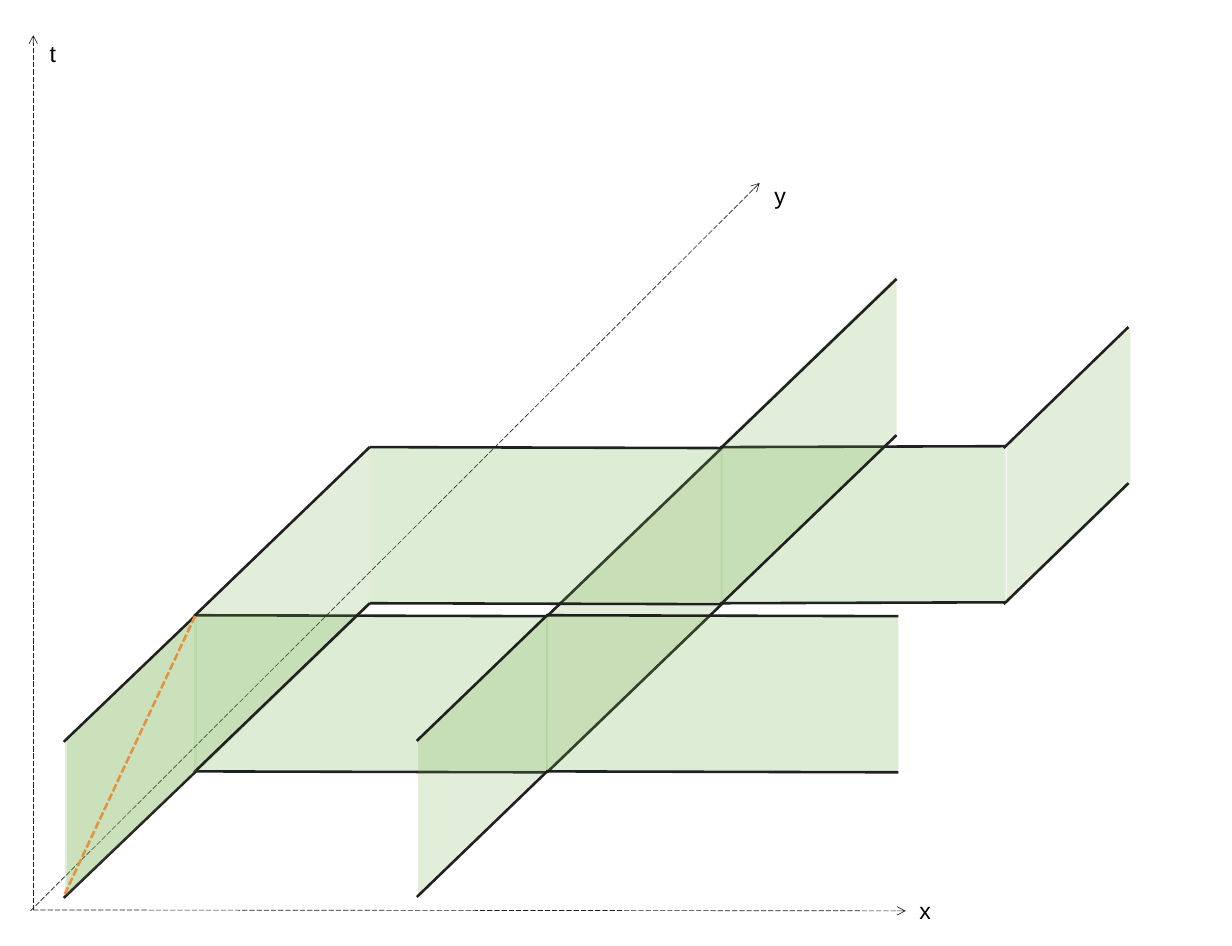
from pptx import Presentation
from pptx.util import Pt
from pptx.dml.color import RGBColor
from pptx.enum.dml import MSO_LINE as DASH
from pptx.enum.shapes import MSO_SHAPE as SHAPE, MSO_CONNECTOR as CONN
from pptx.enum.text import MSO_AUTO_SIZE as FIT
from pptx.oxml.ns import qn
from lxml.etree import SubElement as sub

PX = 9144  # 100 px to the inch
INK = RGBColor(0x20, 0x20, 0x20)
BLACK = RGBColor(0, 0, 0)
GREEN = RGBColor(0x70, 0xAD, 0x47)
ORANGE = RGBColor(0xFF, 0x8D, 0x41)
DROP = 169  # height of every wall

deck = Presentation()
deck.slide_width, deck.slide_height = 1333 * PX, 1024 * PX
shapes = deck.slides.add_slide(deck.slide_layouts[6]).shapes


def add_line(ends, color=INK, width=2, dash=None, arrow=False):
    line = shapes.add_connector(CONN.STRAIGHT, *(v * PX for v in ends))
    line.line.color.rgb = color
    line.line.width = Pt(width)
    if dash:
        line.line.dash_style = dash
    if arrow:
        sub(line.get_or_add_ln(), qn("a:tailEnd"), type="arrow")
    sub(line._element.spPr, qn("a:effectLst"))


def add_wall(box, slant):
    kind = SHAPE.PARALLELOGRAM if slant else SHAPE.RECTANGLE
    wall = shapes.add_shape(kind, *(v * PX for v in box))
    if slant:
        wall.adjustments[0] = 0.966
        wall.rotation = 316
    wall.shadow.inherit = False
    wall.line.fill.background()
    wall.fill.solid()
    wall.fill.fore_color.rgb = GREEN
    tint = wall._element.spPr.find(qn("a:solidFill"))[0]
    sub(tint, qn("a:alpha"), val="20000" if slant else "23000")


# Axes with their names
axes = [
    ("x", (36, 985, 980, 986), (985, 965)),
    ("t", (36, 985, 36, 38), (44, 38)),
    ("y", (33, 986, 822, 198), (828, 192)),
]
for name, ends, (left, top) in axes:
    add_line(ends, width=0.5, dash=DASH.LONG_DASH, arrow=True)
    label = shapes.add_textbox(left * PX, top * PX, 93 * PX, 40 * PX)
    frame = label.text_frame
    frame.word_wrap = True
    frame.auto_size = FIT.SHAPE_TO_FIT_TEXT
    para = frame.paragraphs[0]
    para.text = name
    para.font.name = "Arial"
    para.font.size = Pt(18)
    para.font.color.rgb = BLACK

# Layers from back to front: walls (box, slant), then their top edges
layers = [
    ([((-15, 758, 311, 120), True),
      ((210, 666, 381, 168), False),
      ((494, 599, 383, 124), True)],
     [(69, 803, 212, 666), (211, 666, 591, 667), (592, 667, 782, 484)]),
    ([((591, 667, 381, 168), False)], [(592, 666, 972, 667)]),
    ([((367, 757, 311, 120), True)], [(451, 802, 593, 665)]),
    ([((115, 598, 383, 124), True)], [(210, 667, 400, 484)]),
    ([((401, 484, 381, 168), False)], [(400, 484, 780, 485)]),
    ([((780, 485, 308, 168), False)], [(779, 484, 1088, 483)]),
    ([((684, 414, 383, 124), True)], [(780, 485, 970, 302)]),
    ([((1004, 443, 304, 122), True)], [(1086, 485, 1221, 354)]),
]
for walls, edges in layers:
    for box, slant in walls:
        add_wall(box, slant)
    for x1, y1, x2, y2 in edges:
        for dy in (0, DROP):
            add_line((x1, y1 + dy, x2, y2 + dy))

# Dashed diagonal under the front wall
add_line((70, 968, 212, 665), ORANGE, dash=DASH.SQUARE_DOT)
add_wall((-13, 758, 311, 120), True)

deck.save("out.pptx")
